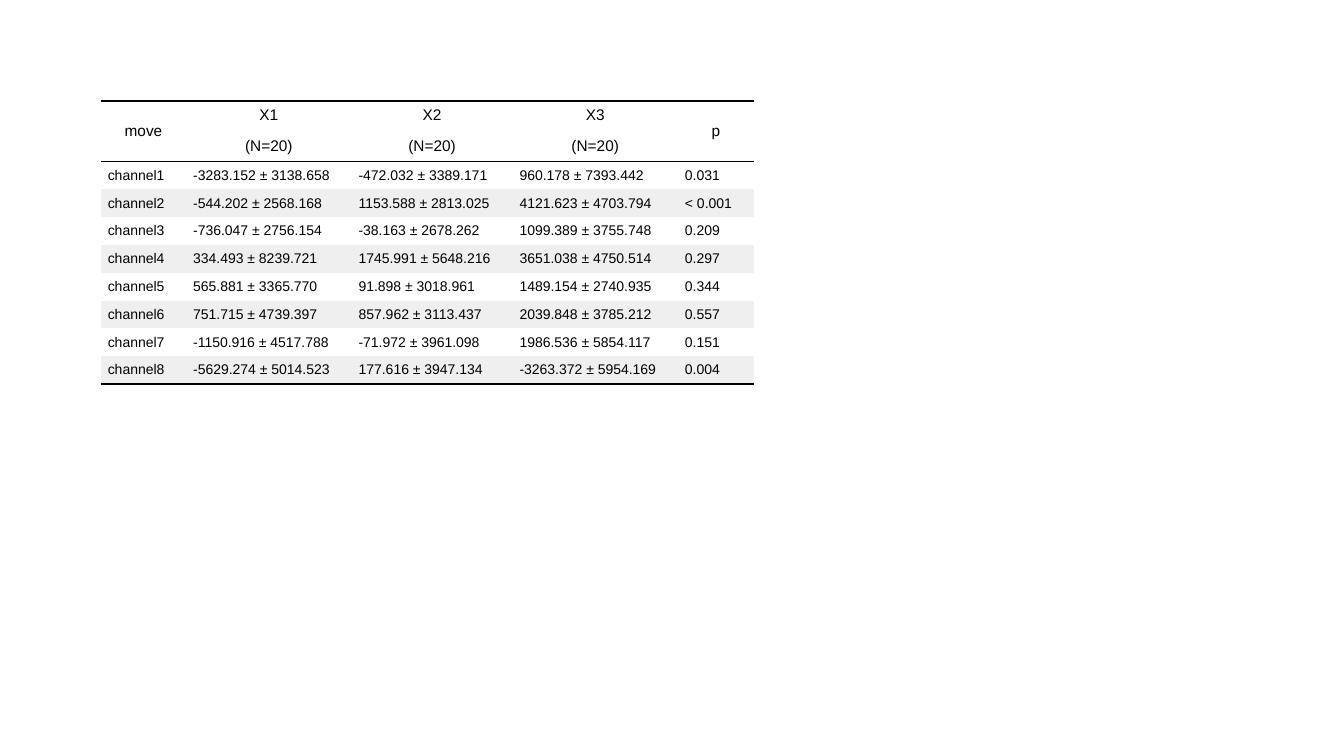
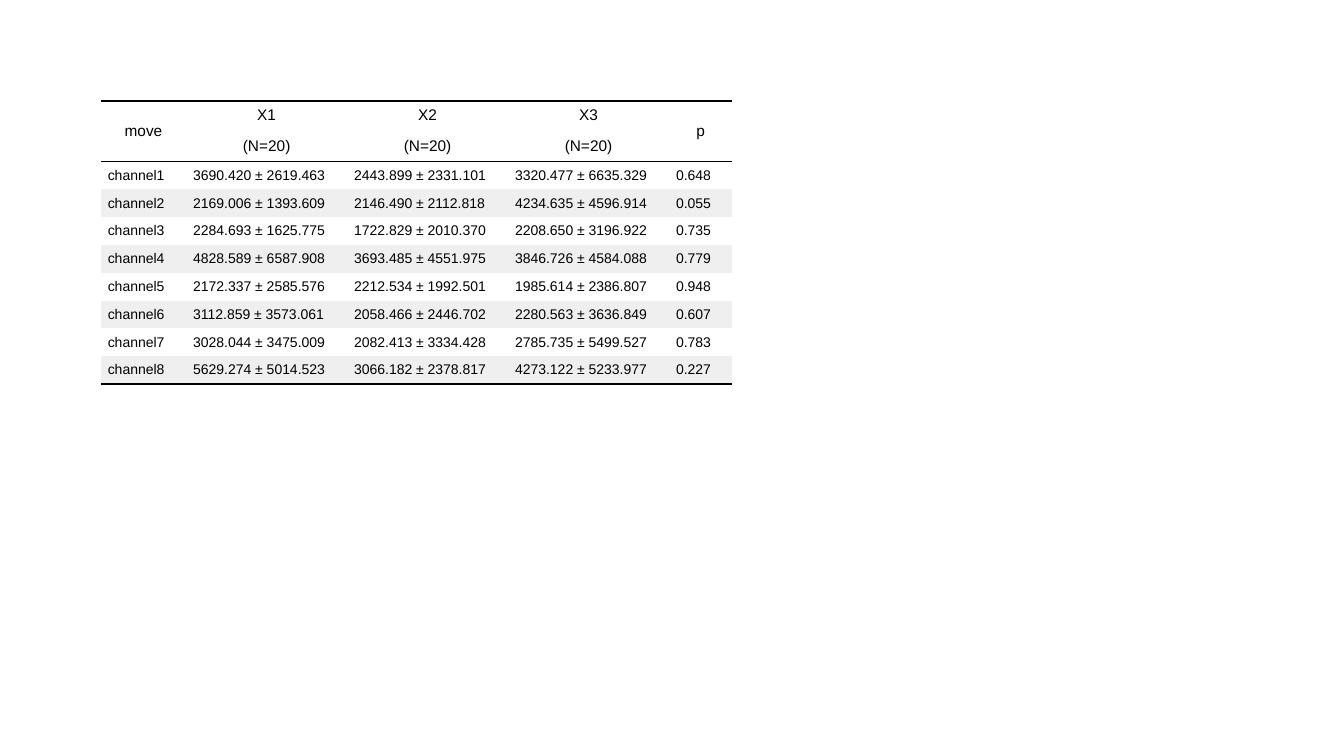
from lxml.etree import SubElement
from pptx import Presentation
from pptx.dml.color import RGBColor
from pptx.enum.text import MSO_ANCHOR, PP_ALIGN
from pptx.oxml.ns import qn
from pptx.util import Pt

BLACK = RGBColor(0x00, 0x00, 0x00)
STRIPE = RGBColor(0xEF, 0xEF, 0xEF)
FONT = "Arial"
NO_STYLE = "{2D5ABB26-0587-4C30-8999-92F81FD0307C}"

HEADER = [
    ["move", "X1", "X2", "X3", "p"],
    ["", "(N=20)", "(N=20)", "(N=20)", ""],
]
SIGNED_MEANS = [
    ["-3283.152 ± 3138.658", "-472.032 ± 3389.171", "960.178 ± 7393.442", "0.031"],
    ["-544.202 ± 2568.168", "1153.588 ± 2813.025", "4121.623 ± 4703.794", "< 0.001"],
    ["-736.047 ± 2756.154", "-38.163 ± 2678.262", "1099.389 ± 3755.748", "0.209"],
    ["334.493 ± 8239.721", "1745.991 ± 5648.216", "3651.038 ± 4750.514", "0.297"],
    ["565.881 ± 3365.770", "91.898 ± 3018.961", "1489.154 ± 2740.935", "0.344"],
    ["751.715 ± 4739.397", "857.962 ± 3113.437", "2039.848 ± 3785.212", "0.557"],
    ["-1150.916 ± 4517.788", "-71.972 ± 3961.098", "1986.536 ± 5854.117", "0.151"],
    ["-5629.274 ± 5014.523", "177.616 ± 3947.134", "-3263.372 ± 5954.169", "0.004"],
]
ABSOLUTE_MEANS = [
    ["3690.420 ± 2619.463", "2443.899 ± 2331.101", "3320.477 ± 6635.329", "0.648"],
    ["2169.006 ± 1393.609", "2146.490 ± 2112.818", "4234.635 ± 4596.914", "0.055"],
    ["2284.693 ± 1625.775", "1722.829 ± 2010.370", "2208.650 ± 3196.922", "0.735"],
    ["4828.589 ± 6587.908", "3693.485 ± 4551.975", "3846.726 ± 4584.088", "0.779"],
    ["2172.337 ± 2585.576", "2212.534 ± 1992.501", "1985.614 ± 2386.807", "0.948"],
    ["3112.859 ± 3573.061", "2058.466 ± 2446.702", "2280.563 ± 3636.849", "0.607"],
    ["3028.044 ± 3475.009", "2082.413 ± 3334.428", "2785.735 ± 5499.527", "0.783"],
    ["5629.274 ± 5014.523", "3066.182 ± 2378.817", "4273.122 ± 5233.977", "0.227"],
]


class Deck:
    """Holds the table style and the current slide."""

    left = top = Pt(72)
    frame_size = Pt(288), Pt(216)
    header_heights = [20.8, 22.7]
    row_height = 19.85
    margin = Pt(2)
    indent = Pt(5)

    def __init__(self):
        """Start a widescreen presentation."""
        self.prs = Presentation()
        self.prs.slide_width, self.prs.slide_height = Pt(960), Pt(540)
        self.s = None

    def add_slide(self):
        """Add a blank slide and make it current."""
        self.s = self.prs.slides.add_slide(self.prs.slide_layouts[6])

    def border(self, cell, side, width):
        """Draw a black line on one side of a cell."""
        tcPr = cell._tc.get_or_add_tcPr()
        ln = SubElement(tcPr, qn(f"a:ln{side}"), w=str(Pt(width)))
        fill = SubElement(ln, qn("a:solidFill"))
        SubElement(fill, qn("a:srgbClr"), val=str(BLACK))

    def cell_text(self, cell, text, size, align):
        """Set and format the text of a cell."""
        cell.margin_left = cell.margin_right = 0
        cell.margin_top = cell.margin_bottom = self.margin
        cell.vertical_anchor = MSO_ANCHOR.MIDDLE
        p = cell.text_frame.paragraphs[0]
        p.text = text
        p.alignment = align
        p.space_before = p.space_after = Pt(2)
        pPr = p._p.get_or_add_pPr()
        for name in ("marL", "marR"):
            pPr.set(name, str(self.indent))
        pPr.set("indent", "0")
        for r in p.runs:
            r.font.name, r.font.size = FONT, Pt(size)
            r.font.color.rgb = BLACK

    def summary_table(self, widths, records):
        """Add a striped table with a two-row header and ruled edges."""
        rows = HEADER + [[f"channel{n}", *rec] for n, rec in enumerate(records, 1)]
        frame = self.s.shapes.add_table(
            len(rows), len(widths), self.left, self.top, *self.frame_size)
        table = frame.table
        table.first_row = table.horz_banding = False
        table._tbl.tblPr.find(qn("a:tableStyleId")).text = NO_STYLE
        for column, width in zip(table.columns, widths):
            column.width = Pt(width)
        heights = self.header_heights + [self.row_height] * len(records)
        for row, height in zip(table.rows, heights):
            row.height = Pt(height)
        frame.width, frame.height = self.frame_size
        for col in (0, len(widths) - 1):
            table.cell(0, col).merge(table.cell(1, col))

        last = len(rows) - 1
        for i, row in enumerate(rows):
            is_header = i < len(HEADER)
            size, align = (11, PP_ALIGN.CENTER) if is_header else (10, PP_ALIGN.LEFT)
            for j, text in enumerate(row):
                cell = table.cell(i, j)
                self.cell_text(cell, text, size, align)
                if i == 0:
                    self.border(cell, "T", 2)
                if i == 1 or cell.is_merge_origin:
                    self.border(cell, "B", 1)
                if i == last:
                    self.border(cell, "B", 2)
                if not is_header and i % 2:
                    cell.fill.solid()
                    cell.fill.fore_color.rgb = STRIPE
                else:
                    cell.fill.background()


deck = Deck()
for widths, records in (
    ([61, 118.2, 115, 118.2, 54], SIGNED_MEANS),
    ([61, 115, 115, 115, 45.2], ABSOLUTE_MEANS),
):
    deck.add_slide()
    deck.summary_table(widths, records)
deck.prs.save("out.pptx")
